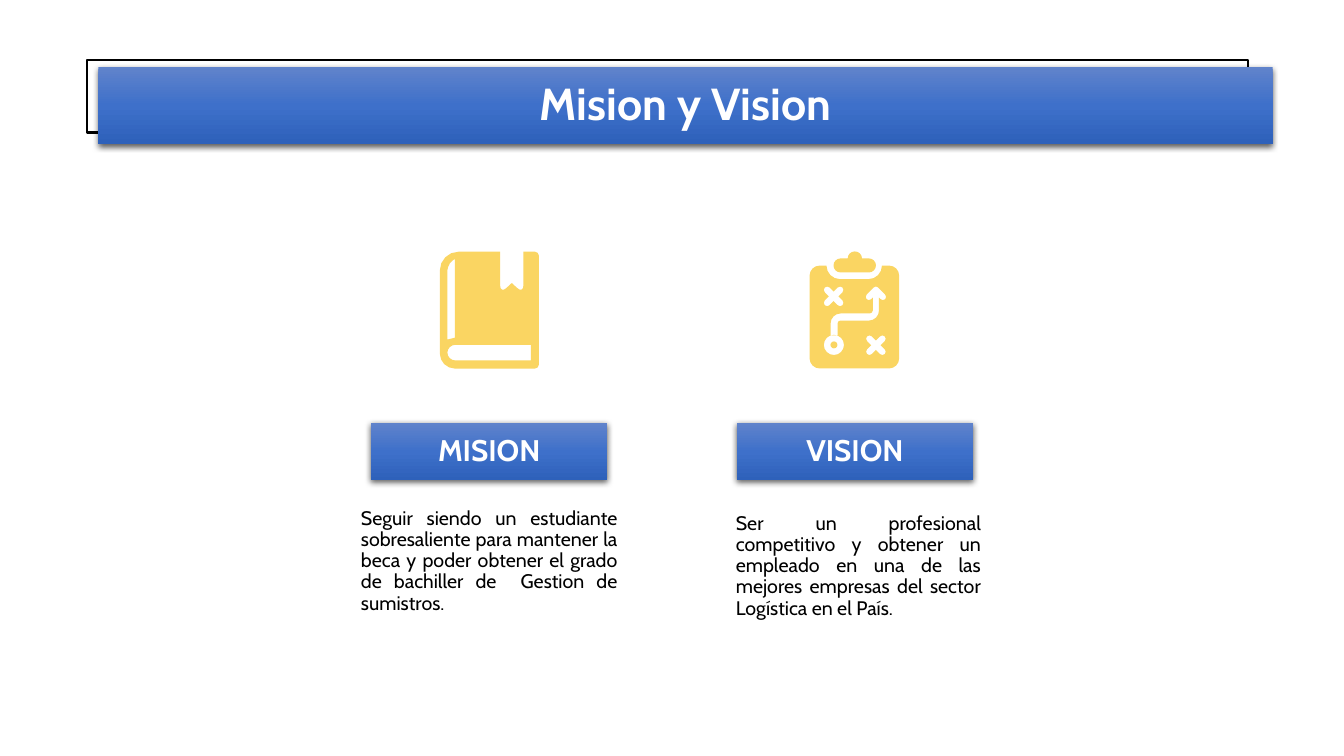
import copy

import pptx
import pptx.dml.color
import pptx.enum.shapes
import pptx.enum.text
import pptx.oxml
import pptx.oxml.ns
import pptx.util

Pt = pptx.util.Pt
RGBColor = pptx.dml.color.RGBColor
SHAPES = pptx.enum.shapes.MSO_SHAPE
ALIGN = pptx.enum.text.PP_ALIGN
ANCHOR = pptx.enum.text.MSO_ANCHOR

BLACK = RGBColor(0x00, 0x00, 0x00)
WHITE = RGBColor(0xFF, 0xFF, 0xFF)
YELLOW = RGBColor(0xFA, 0xD5, 0x62)
BLUE_TOP = RGBColor(0x60, 0x83, 0xCB)
BLUE_MIDDLE = RGBColor(0x3E, 0x70, 0xCA)
BLUE_BOTTOM = RGBColor(0x2E, 0x61, 0xBA)

FONT = "Cabin"
INSET = 9.6
SMALL_ROUNDING = 4

SHADOW = (
    '<a:outerShdw %s blurRad="57150" dist="19050" dir="5400000" algn="ctr" rotWithShape="0">'
    '<a:srgbClr val="000000"><a:alpha val="63000"/></a:srgbClr></a:outerShdw>'
    % pptx.oxml.ns.nsdecls("a")
)

# Icon outlines: corners as (x, y, rounding), in points on the slide.
BOOK = [
    [(314.2, 179.8, 13.5), (357.3, 179.8, 0), (357.3, 209.9, 6), (365.6, 202.2, 0),
     (373.9, 209.9, 6), (373.9, 179.8, 0), (385, 179.8, 2.9),
     (385, 263.3, 2.9), (314.2, 263.3, 10.8)],
    [(325, 185, 0), (325, 241.2, 0), (319.6, 242.6, 0),
     (319.6, 193, 0), (320.8, 187.8, 3)],
    [(319.6, 246.3, 5.7), (379.3, 246.3, 0), (379.3, 257.5, 0), (319.6, 257.5, 5.7)],
]
BOARD = [(578.3, 189.7, 7.2), (590.4, 189.7, 0), (590.4, 199.4, 9.6),
         (630, 199.4, 9.6), (630, 189.7, 0), (642.3, 189.7, 7.2),
         (642.3, 263.2, 7.2), (578.3, 263.2, 7.2)]
ROUTE = [(625.7, 203.8, 2), (634, 212.1, 2.4), (630.7, 215.4, 2.4),
         (627.9, 212.6, 0), (627.9, 229, 7.2), (598.3, 229, 2),
         (598.3, 239.5, 0), (593.3, 239.5, 0), (593.3, 223.9, 7.2),
         (623.5, 223.9, 2.2), (623.5, 212.6, 0), (620.7, 215.4, 2.4),
         (617.4, 212.1, 2.4)]
RING = [(588.5, 239.2, 7.2), (602.9, 239.2, 7.2), (602.9, 253.6, 7.2), (588.5, 253.6, 7.2)]
CLIP = [(595.4, 184.6, 5), (605.5, 184.6, 0), (605.5, 179.6, 5),
        (615.7, 179.6, 5), (615.7, 184.6, 0), (625.7, 184.6, 5),
        (625.7, 194.6, 5), (595.4, 194.6, 5)]


def cross_outline(center_x, center_y, arm=8.9, half_width=2.4):
    """Corners of a diagonal cross with rounded arm ends."""
    corners = []
    across, along = (1, 0), (0, -1)
    for _ in range(4):
        for side, reach, rounding in ((-half_width, arm, half_width),
                                      (half_width, arm, half_width),
                                      (half_width, half_width, 0)):
            x = side * across[0] + reach * along[0]
            y = side * across[1] + reach * along[1]
            corners.append((center_x + (x - y) * 0.71, center_y + (x + y) * 0.71, rounding))
        across, along = (-across[1], across[0]), (-along[1], along[0])
    return corners


def toward(corner, neighbour, distance):
    dx, dy = neighbour[0] - corner[0], neighbour[1] - corner[1]
    share = distance / (dx * dx + dy * dy) ** 0.5
    return corner[0] + dx * share, corner[1] + dy * share


def rounded_points(corners):
    """Outline points, each rounded corner drawn as a sampled Bezier curve."""
    points = []
    for index, corner in enumerate(corners):
        rounding = corner[2]
        if not rounding:
            points.append((Pt(corner[0]), Pt(corner[1])))
            continue
        before, after = corners[index - 1], corners[(index + 1) % len(corners)]
        curve = (toward(corner, before, rounding), toward(corner, before, rounding * 0.45),
                 toward(corner, after, rounding * 0.45), toward(corner, after, rounding))
        steps = 2 if rounding < SMALL_ROUNDING else 4
        for step in range(steps + 1):
            t = step / steps
            weights = ((1 - t) ** 3, 3 * t * (1 - t) ** 2, 3 * t * t * (1 - t), t ** 3)
            point = tuple(Pt(sum(w * p[axis] for w, p in zip(weights, curve)))
                          for axis in (0, 1))
            points.append(point)
    return points


def fill_yellow(part):
    part.shadow.inherit = False
    part.fill.solid()
    part.fill.fore_color.rgb = YELLOW
    part.line.fill.background()


def add_icon_part(slide, outlines):
    """Draw the first outline; the others are holes in it."""
    first, *holes = [rounded_points(outline) for outline in outlines]
    builder = slide.shapes.build_freeform(*first[0], scale=1.0)
    builder.add_line_segments(first[1:], close=True)
    for hole in holes:
        builder.move_to(*hole[0])
        builder.add_line_segments(hole[1:], close=True)
    fill_yellow(builder.convert_to_shape())


def write_text(holder, text, size, color, align, anchor, bold=False, space_after=0):
    frame = holder.text_frame
    frame.word_wrap = True
    frame.vertical_anchor = anchor
    frame.margin_left = frame.margin_right = Pt(INSET)
    frame.margin_top = frame.margin_bottom = Pt(INSET)
    paragraph = frame.paragraphs[0]
    paragraph.text = text
    paragraph.alignment = align
    paragraph.line_spacing = 0.9
    paragraph.space_after = Pt(space_after)
    paragraph.font.name = FONT
    paragraph.font.size = Pt(size)
    paragraph.font.bold = bold
    paragraph.font.color.rgb = color


def add_banner(slide, box, text, size):
    banner = slide.shapes.add_shape(SHAPES.RECTANGLE, *map(Pt, box))
    banner.line.fill.background()
    banner.fill.gradient()
    banner.fill.gradient_angle = 270
    top_stop = banner._element.spPr.find(".//" + pptx.oxml.ns.qn("a:gs"))
    top_stop.addnext(copy.deepcopy(top_stop))
    stops = zip(banner.fill.gradient_stops, (BLUE_TOP, BLUE_MIDDLE, BLUE_BOTTOM), (0, 0.5, 1))
    for stop, color, position in stops:
        stop.color.rgb = color
        stop.position = position
    banner.shadow.inherit = False
    effects = banner._element.spPr.find(pptx.oxml.ns.qn("a:effectLst"))
    effects.append(pptx.oxml.parse_xml(SHADOW))
    write_text(banner, text, size, WHITE, ALIGN.CENTER, ANCHOR.MIDDLE, bold=True)


def add_statement(slide, box, text):
    statement = slide.shapes.add_textbox(*map(Pt, box))
    write_text(statement, text, 14, BLACK, ALIGN.JUSTIFY, ANCHOR.TOP, space_after=21.3)


def add_title_frame(slide):
    frame = slide.shapes.add_shape(SHAPES.RECTANGLE, Pt(62.3), Pt(42.7), Pt(829.4), Pt(52))
    frame.shadow.inherit = False
    frame.fill.background()
    frame.line.color.rgb = BLACK
    frame.line.width = Pt(1.5)


def add_strategy_icon(slide):
    fill_yellow(slide.shapes.add_shape(SHAPES.OVAL, Pt(593.2), Pt(243.9), Pt(5), Pt(5)))
    crosses = [cross_outline(595.5, 211.7), cross_outline(625.7, 246.6)]
    add_icon_part(slide, [BOARD, ROUTE, RING, *crosses])
    add_icon_part(slide, [CLIP])


def main():
    deck = pptx.Presentation()
    deck.slide_width, deck.slide_height = Pt(960), Pt(540)
    slide = deck.slides.add_slide(deck.slide_layouts[6])

    add_title_frame(slide)
    add_banner(slide, (70.2, 48, 838.8, 54.8), "Mision y Vision", 32)
    add_statement(slide, (248.2, 353.5, 202.6, 91.4),
                  "Seguir siendo un estudiante sobresaliente para mantener la beca y poder "
                  "obtener el grado de bachiller de  Gestion de sumistros.")
    add_banner(slide, (265, 302.2, 168.9, 40.8), "MISION", 21.3)
    add_statement(slide, (516, 357.1, 194.4, 91.4),
                  "Ser un profesional competitivo y obtener un empleado en una de las "
                  "mejores empresas del sector Logística en el País.")
    add_banner(slide, (526.2, 302.2, 168.9, 40.8), "VISION", 21.3)
    add_icon_part(slide, BOOK)
    add_strategy_icon(slide)

    deck.save("out.pptx")


if __name__ == "__main__":
    main()
